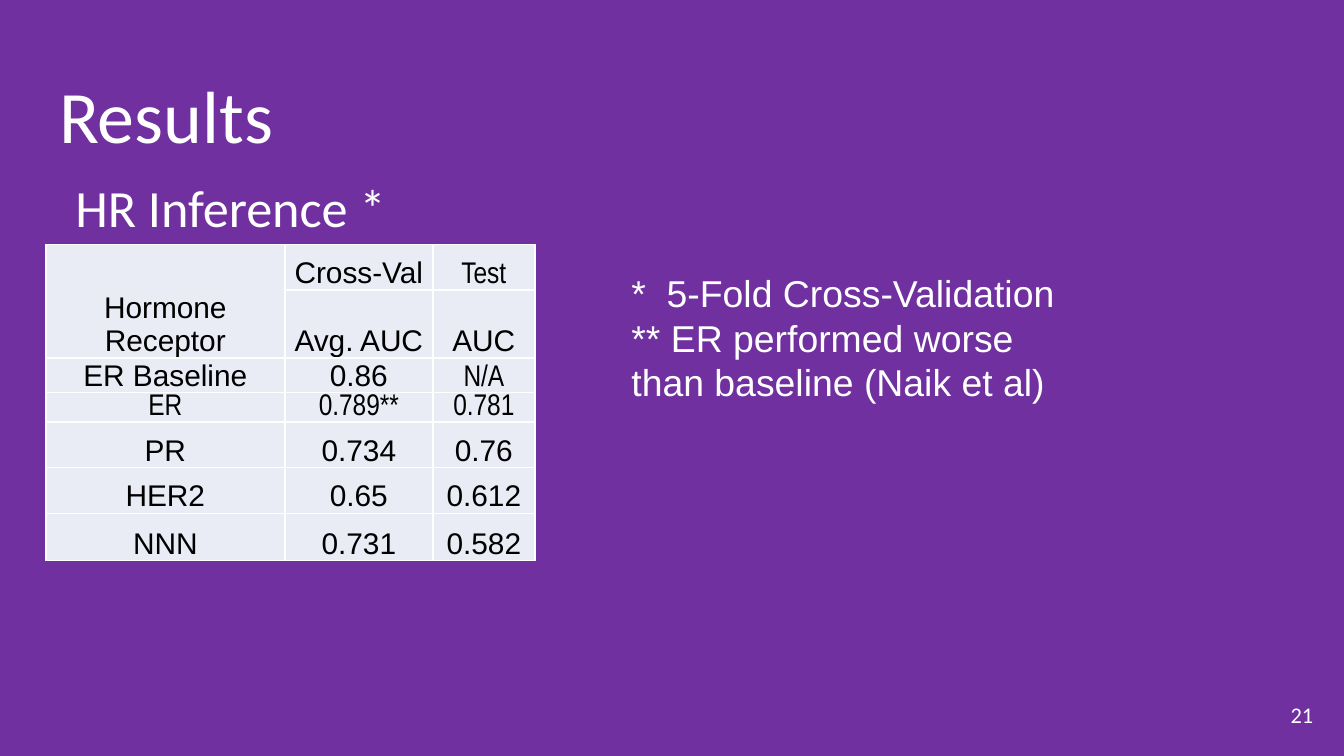
from dataclasses import dataclass

import lxml.etree
import pptx
import pptx.dml.color
import pptx.enum.text
import pptx.oxml.ns
import pptx.util

Inches = pptx.util.Inches
Pt = pptx.util.Pt
RGB = pptx.dml.color.RGBColor.from_string
Align = pptx.enum.text.PP_ALIGN
Anchor = pptx.enum.text.MSO_ANCHOR
qn = pptx.oxml.ns.qn


@dataclass(frozen=True)
class Theme:
    background: str = "7030A0"
    light: str = "FFFFFF"
    dark: str = "000000"
    cell: str = "E9EBF5"
    heading_font: str = "Calibri"
    text_font: str = "Arial"
    narrow_font: str = "Arial Narrow"
    title_size: float = 39.6
    subtitle_size: float = 28
    note_size: float = 20
    table_size: float = 16
    number_size: float = 12


THEME = Theme()

COLUMN_WIDTHS = [1.78, 1.1, 0.76]
ROW_HEIGHTS = [0.34, 0.27, 0.17, 0.17, 0.34, 0.34, 0.35]
SCORES = [
    ["Hormone\nReceptor", "Cross-Val", "Test"],
    ["", "Avg. AUC", "AUC"],
    ["ER Baseline", "0.86", "N/A"],
    ["ER", "0.789**", "0.781"],
    ["PR", "0.734", "0.76"],
    ["HER2", "0.65", "0.612"],
    ["NNN", "0.731", "0.582"],
]
NARROW_ENTRIES = {"Test", "N/A", "ER", "0.789**", "0.781"}
NOTES = "*  5-Fold Cross-Validation\n** ER performed worse than baseline (Naik et al)"


def place(part, box):
    part.left, part.top, part.width, part.height = map(Inches, box)


def set_margins(holder, left, top, right, bottom):
    holder.margin_left, holder.margin_top = Inches(left), Inches(top)
    holder.margin_right, holder.margin_bottom = Inches(right), Inches(bottom)


def write(frame, text, font, size, color, align=Align.LEFT):
    frame.text = text
    for paragraph in frame.paragraphs:
        paragraph.alignment = align
        paragraph.font.name = font
        paragraph.font.size = Pt(size)
        paragraph.font.color.rgb = RGB(color)


def add_heading(placeholder, box, text, size):
    place(placeholder, box)
    frame = placeholder.text_frame
    frame.word_wrap = True
    frame.auto_size = pptx.enum.text.MSO_AUTO_SIZE.NONE
    frame.vertical_anchor = Anchor.TOP
    set_margins(frame, 0.1, 0.1, 0.1, 0.1)
    write(frame, text, THEME.heading_font, size, THEME.light)
    heading = frame.paragraphs[0]
    heading.line_spacing = 0.9
    heading.space_before = Pt(0)
    return heading


def remove_bullet(paragraph, left_indent):
    properties = paragraph._p.get_or_add_pPr()
    properties.set("marL", str(Inches(left_indent)))
    properties.set("indent", "0")
    bullet = lxml.etree.Element(qn("a:buNone"))
    properties.find(qn("a:spcBef")).addnext(bullet)


def add_borders(cell):
    properties = cell._tc.get_or_add_tcPr()
    for position, side in enumerate(("a:lnL", "a:lnR", "a:lnT", "a:lnB")):
        line = lxml.etree.Element(qn(side), w=str(Pt(1)))
        fill = lxml.etree.SubElement(line, qn("a:solidFill"))
        lxml.etree.SubElement(fill, qn("a:srgbClr"), val=THEME.light)
        properties.insert(position, line)


def add_scores(slide, box):
    scores = slide.shapes.add_table(
        len(SCORES), len(COLUMN_WIDTHS), *map(Inches, box)
    ).table
    scores.first_row = False
    scores.horz_banding = False
    for column, width in zip(scores.columns, COLUMN_WIDTHS):
        column.width = Inches(width)
    for row, height in zip(scores.rows, ROW_HEIGHTS):
        row.height = Inches(height)
    for row, entries in zip(scores.rows, SCORES):
        for cell, entry in zip(row.cells, entries):
            font = THEME.narrow_font if entry in NARROW_ENTRIES else THEME.text_font
            write(cell.text_frame, entry, font, THEME.table_size, THEME.dark, Align.CENTER)
            set_margins(cell, 0.01, 0.01, 0.01, 0)
            cell.vertical_anchor = Anchor.BOTTOM
            cell.fill.solid()
            cell.fill.fore_color.rgb = RGB(THEME.cell)
            add_borders(cell)
    scores.cell(0, 0).merge(scores.cell(1, 0))


def add_notes(slide, box):
    frame = slide.shapes.add_textbox(*map(Inches, box)).text_frame
    frame.word_wrap = True
    frame.auto_size = pptx.enum.text.MSO_AUTO_SIZE.SHAPE_TO_FIT_TEXT
    write(frame, NOTES, THEME.text_font, THEME.note_size, THEME.light)


def add_page_number(slide, box, number):
    frame = slide.shapes.add_textbox(*map(Inches, box)).text_frame
    frame.word_wrap = True
    frame.vertical_anchor = Anchor.MIDDLE
    set_margins(frame, 0.1, 0.1, 0.1, 0.1)
    write(frame, number, THEME.heading_font, THEME.number_size, THEME.light, Align.RIGHT)


def add_results_slide(deck):
    slide = deck.slides.add_slide(deck.slide_layouts[1])
    slide.background.fill.solid()
    slide.background.fill.fore_color.rgb = RGB(THEME.background)
    add_heading(slide.shapes.title, (0.34, 0.49, 9.32, 0.63), "Results", THEME.title_size)
    subtitle = add_heading(
        slide.placeholders[1], (0.34, 1.26, 9.32, 3.74), "HR Inference *", THEME.subtitle_size
    )
    remove_bullet(subtitle, 0.12)
    add_scores(slide, (0.34, 1.82, 3.64, 2.18))
    add_notes(slide, (4.6, 1.96, 3.64, 1.45))
    add_page_number(slide, (9.27, 5.1, 0.6, 0.43), "21")


def main():
    deck = pptx.Presentation()
    deck.slide_width, deck.slide_height = Inches(10), Pt(405)
    add_results_slide(deck)
    deck.save("out.pptx")


if __name__ == "__main__":
    main()
